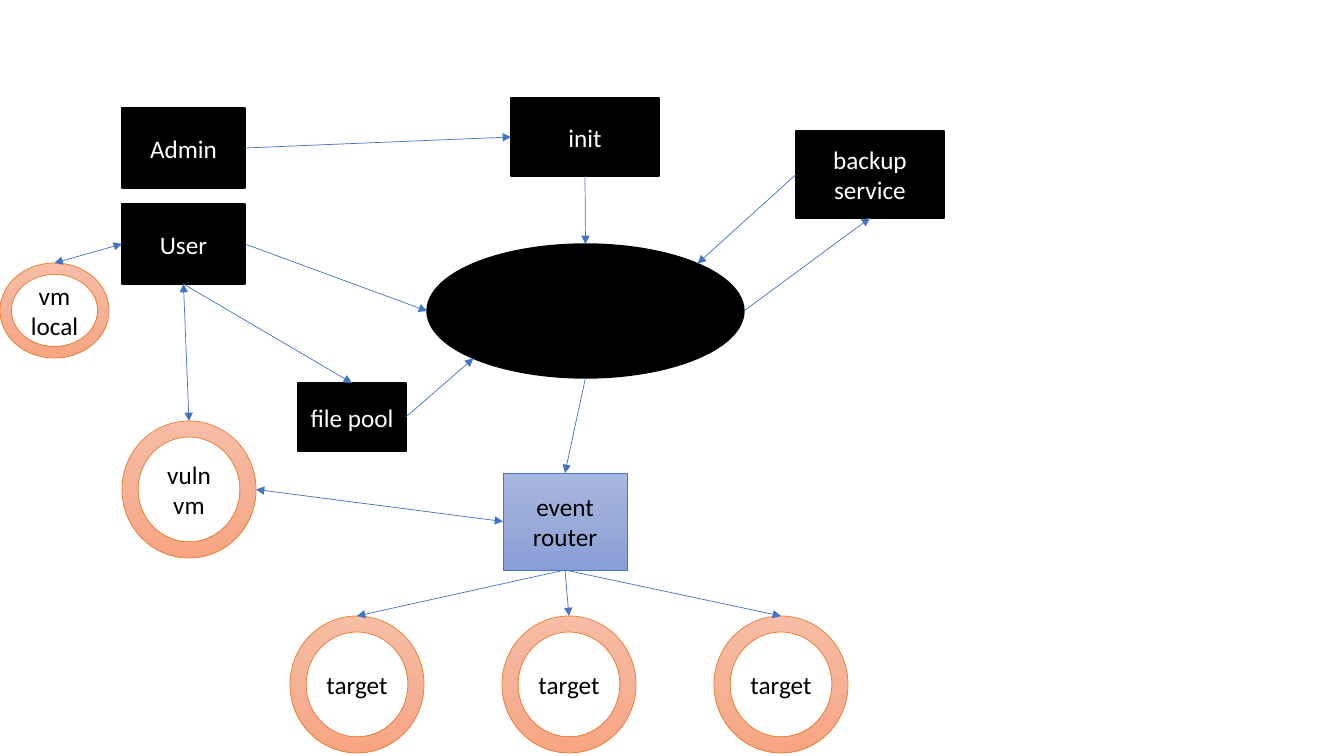
from dataclasses import dataclass
from enum import Enum

from lxml.etree import SubElement
from pptx import Presentation
from pptx.dml.color import RGBColor
from pptx.enum.shapes import MSO_CONNECTOR, MSO_SHAPE
from pptx.enum.text import MSO_ANCHOR, PP_ALIGN
from pptx.oxml.ns import qn
from pptx.shapes.autoshape import Shape
from pptx.util import Emu, Pt

SCALE = 914400 / 100.8  # EMU per pixel
FONT = "Calibri"
BLACK = RGBColor(0x00, 0x00, 0x00)
WHITE = RGBColor(0xFF, 0xFF, 0xFF)
BLUE = RGBColor(0x44, 0x72, 0xC4)
ORANGE = RGBColor(0xED, 0x7D, 0x31)
BLUE_FADE = (RGBColor(0xA8, 0xB7, 0xDF), RGBColor(0x9A, 0xAB, 0xD9), RGBColor(0x88, 0x9E, 0xD7))
ORANGE_FADE = (RGBColor(0xF7, 0xBD, 0xA5), RGBColor(0xF5, 0xB1, 0x96), RGBColor(0xF8, 0xA5, 0x82))


@dataclass(frozen=True)
class Style:
    preset: MSO_SHAPE
    fills: tuple[RGBColor, ...]
    outline: RGBColor
    outline_pt: float
    text: RGBColor


@dataclass(frozen=True)
class Node:
    key: str
    label: str
    style: Style
    left: int
    top: int
    width: int
    height: int


class Side(Enum):
    """Horizontal and vertical fraction, site index on a box, on a round shape."""
    TOP = (0.5, 0, 0, 0)
    LEFT = (0, 0.5, 1, 2)
    BOTTOM = (0.5, 1, 2, 4)
    RIGHT = (1, 0.5, 3, 6)
    LOWER_LEFT = (0.1464, 0.8536, None, 3)
    UPPER_RIGHT = (0.8536, 0.1464, None, 7)


@dataclass(frozen=True)
class Link:
    source: str
    leaves: Side
    target: str
    enters: Side
    two_way: bool = False


BOX = Style(MSO_SHAPE.RECTANGLE, (BLACK,), BLACK, 1, WHITE)
OVAL = Style(MSO_SHAPE.OVAL, (BLACK,), BLACK, 1, WHITE)
ROUTER = Style(MSO_SHAPE.RECTANGLE, BLUE_FADE, BLUE, 0.5, BLACK)
RING = Style(MSO_SHAPE.DONUT, ORANGE_FADE, ORANGE, 0.5, BLACK)

TARGETS = [f"target {number}" for number in range(3)]
NODES = [
    Node("admin", "Admin", BOX, 122, 108, 123, 80),
    Node("user", "User", BOX, 122, 204, 123, 80),
    Node("init", "init", BOX, 511, 98, 148, 78),
    Node("core", "", OVAL, 427, 244, 317, 134),
    Node("backup", "backup service", BOX, 796, 131, 148, 87),
    Node("file pool", "file pool", BOX, 298, 383, 108, 68),
    Node("router", "event router", ROUTER, 503, 473, 124, 97),
    Node("local vm", "vm local", RING, 0, 263, 109, 95),
    Node("vuln vm", "vuln vm", RING, 122, 421, 134, 137),
    *(Node(key, "target", RING, 290 + 212 * column, 616, 134, 137)
      for column, key in enumerate(TARGETS)),
]
LINKS = [
    Link("admin", Side.RIGHT, "init", Side.LEFT),
    Link("user", Side.RIGHT, "core", Side.LEFT),
    Link("user", Side.BOTTOM, "file pool", Side.TOP),
    Link("user", Side.BOTTOM, "vuln vm", Side.TOP, two_way=True),
    Link("user", Side.LEFT, "local vm", Side.TOP, two_way=True),
    Link("init", Side.BOTTOM, "core", Side.TOP),
    Link("file pool", Side.RIGHT, "core", Side.LOWER_LEFT),
    Link("backup", Side.LEFT, "core", Side.UPPER_RIGHT),
    Link("core", Side.RIGHT, "backup", Side.BOTTOM),
    Link("core", Side.BOTTOM, "router", Side.TOP),
    Link("router", Side.LEFT, "vuln vm", Side.RIGHT, two_way=True),
    *(Link("router", Side.BOTTOM, key, Side.TOP) for key in TARGETS),
]


def px(pixels: float) -> Emu:
    return Emu(round(pixels * SCALE))


def paint(shape: Shape, colors: tuple[RGBColor, ...]) -> None:
    """Fill with one colour, or fade evenly from top to bottom."""
    if len(colors) == 1:
        shape.fill.solid()
        shape.fill.fore_color.rgb = colors[0]
        return
    shape.fill.gradient()
    shape.fill.gradient_angle = 270
    stops = shape.element.spPr.find(qn("a:gradFill")).find(qn("a:gsLst"))
    for stop in list(stops):
        stops.remove(stop)
    for index, color in enumerate(colors):
        position = 100000 * index // (len(colors) - 1)
        stop = SubElement(stops, qn("a:gs"), pos=str(position))
        SubElement(stop, qn("a:srgbClr"), val=str(color))


def draw_node(node: Node) -> Shape:
    style = node.style
    shape = slide.shapes.add_shape(
        style.preset, px(node.left), px(node.top), px(node.width), px(node.height))
    shape.shadow.inherit = False
    if style is RING:
        shape.adjustments[0] = 0.12
    paint(shape, style.fills)
    shape.line.color.rgb = style.outline
    shape.line.width = Pt(style.outline_pt)
    if node.label:
        frame = shape.text_frame
        frame.word_wrap = True
        frame.vertical_anchor = MSO_ANCHOR.MIDDLE
        paragraph = frame.paragraphs[0]
        paragraph.alignment = PP_ALIGN.CENTER
        run = paragraph.add_run()
        run.text = node.label
        run.font.name = FONT
        run.font.size = Pt(18)
        run.font.color.rgb = style.text
    return shape


def anchor(shape: Shape, side: Side) -> tuple[Emu, Emu]:
    across, down = side.value[:2]
    return (Emu(round(shape.left + across * shape.width)),
            Emu(round(shape.top + down * shape.height)))


def draw_link(link: Link) -> None:
    source, target = drawn[link.source], drawn[link.target]
    arrow = slide.shapes.add_connector(
        MSO_CONNECTOR.STRAIGHT, *anchor(source, link.leaves), *anchor(target, link.enters))
    arrow.line.color.rgb = BLUE
    arrow.line.width = Pt(0.5)
    outline = arrow.line._get_or_add_ln()
    for end in ("a:headEnd", "a:tailEnd") if link.two_way else ("a:tailEnd",):
        SubElement(outline, qn(end), type="triangle")
    SubElement(arrow.element.spPr, qn("a:effectLst"))
    # Glue both ends to the shapes
    glue = arrow.element.nvCxnSpPr.cNvCxnSpPr
    for tag, shape, side in (("a:stCxn", source, link.leaves), ("a:endCxn", target, link.enters)):
        is_box = shape.auto_shape_type == MSO_SHAPE.RECTANGLE
        site = side.value[2 if is_box else 3]
        SubElement(glue, qn(tag), id=str(shape.shape_id), idx=str(site))


# Slide
deck = Presentation()
deck.slide_width, deck.slide_height = px(1344), px(756)
slide = deck.slides.add_slide(deck.slide_layouts[6])

# Components, then the arrows between them
drawn = {node.key: draw_node(node) for node in NODES}
for link in LINKS:
    draw_link(link)

deck.save("out.pptx")
